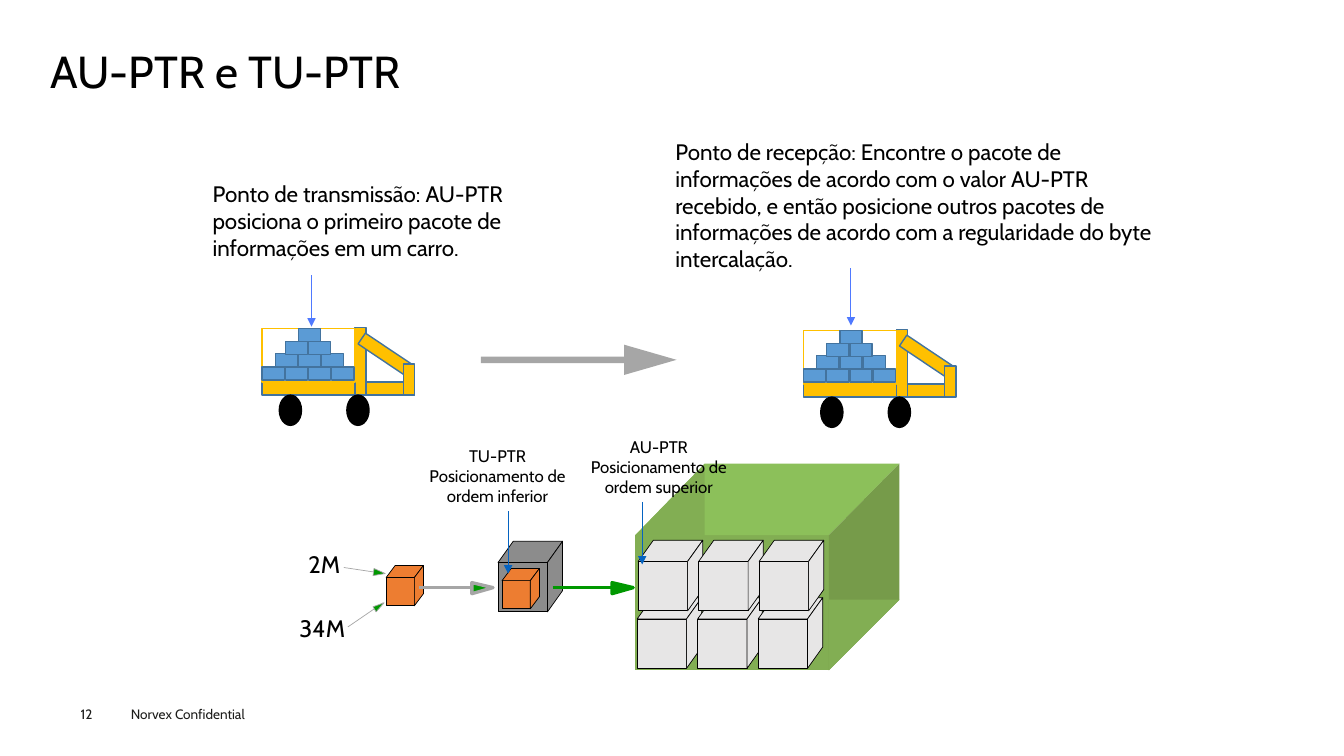
from lxml import etree
from pptx import Presentation
from pptx.dml.color import RGBColor
from pptx.enum.shapes import MSO_CONNECTOR, MSO_SHAPE
from pptx.enum.text import PP_ALIGN
from pptx.oxml.ns import qn
from pptx.util import Pt

PX = 9144
BLACK, GRAY, GREEN, YELLOW = "000000", "A6A6A6", "009800", "FFC000"
BRICK, EDGE, ORANGE, SILVER = "5B9BD5", "43739E", "ED7D31", "E7E6E6"
rgb = RGBColor.from_string

prs = Presentation()
prs.slide_width, prs.slide_height = 1333 * PX, 750 * PX
s = prs.slides.add_slide(prs.slide_layouts[6])


def paint(sp, fill, line=None, width=0.5):
    sp.shadow.inherit = False
    if fill:
        sp.fill.solid()
        sp.fill.fore_color.rgb = rgb(fill)
    else:
        sp.fill.background()
    if line:
        sp.line.color.rgb = rgb(line)
        sp.line.width = Pt(width)
    else:
        sp.line.fill.background()


def add_polygon(points, fill, line=None, width=0.5):
    builder = s.shapes.build_freeform(*points[0], scale=PX)
    builder.add_line_segments(points[1:])
    paint(builder.convert_to_shape(), fill, line, width)


arrow = s.shapes.add_shape(MSO_SHAPE.RIGHT_ARROW, 477 * PX, 342 * PX, 194 * PX, 30 * PX)
arrow.adjustments[0], arrow.adjustments[1] = 0.215, 1.732
paint(arrow, GRAY)

container_faces = [
    ([(630, 531), (822, 531), (822, 665), (630, 665)], "82AE53"),
    ([(630, 531), (699, 460), (892, 460), (822, 531)], "8CC05A"),
    ([(630, 531), (699, 460), (699, 531)], "82AE53"),
    ([(822, 531), (892, 460), (892, 595), (822, 665)], "769B4A"),
    ([(822, 595), (892, 595), (822, 665)], "82AE53"),
]
for points, fill in container_faces:
    add_polygon(points, fill)

cubes = [
    (383, 573, 28, 28, 9, 12, ORANGE),
    (494, 558, 49, 49, 15, 21, "8C8C8C"),
    (498, 576, 28, 28, 9, 12, ORANGE),
]
for col in range(3):
    for x, y in [(632, 614), (633, 557)]:
        cubes.append((x + 60 * col, y, 49, 49, 15, 21, SILVER))
for x, y, w, h, dx, dy, fill in cubes:
    front = s.shapes.add_shape(MSO_SHAPE.RECTANGLE, x * PX, y * PX, w * PX, h * PX)
    paint(front, fill, BLACK)
    right, bottom = x + w, y + h
    add_polygon([(x, y), (x + dx, y - dy), (right + dx, y - dy), (right, y)], fill, BLACK)
    add_polygon([(right, bottom), (right + dx, bottom - dy), (right + dx, y - dy), (right, y)],
                fill, BLACK)

for dx, dy in [(0, 0), (537, 2)]:
    parts = [
        (MSO_SHAPE.RECTANGLE, 260, 379, 151, 13, 0, YELLOW, EDGE),
        (MSO_SHAPE.RECTANGLE, 324, 353, 67, 11, 90, YELLOW, EDGE),
        (MSO_SHAPE.FLOWCHART_CONNECTOR, 277, 392, 22, 30, 0, BLACK, BLACK),
        (MSO_SHAPE.FLOWCHART_CONNECTOR, 344, 392, 22, 30, 0, BLACK, BLACK),
        (MSO_SHAPE.RECTANGLE, 354, 345, 56, 13, 33.8, YELLOW, EDGE),
        (MSO_SHAPE.RECTANGLE, 390, 371, 31, 11, 90, YELLOW, EDGE),
        (MSO_SHAPE.RECTANGLE, 260, 326, 92, 53, 0, None, YELLOW),
    ]
    for x, y, count in [(260, 364, 4), (273, 351, 3), (283, 339, 2), (296, 326, 1)]:
        for i in range(count):
            parts.append((MSO_SHAPE.RECTANGLE, x + 23 * i, y, 22, 13, 0, BRICK, EDGE))
    for kind, x, y, w, h, angle, fill, line in parts:
        sp = s.shapes.add_shape(kind, (x + dx) * PX, (y + dy) * PX, w * PX, h * PX)
        sp.rotation = angle
        paint(sp, fill, line, 1)

lines = [
    (309, 273, 309, 324, "4F79FF", 0.75, True),
    (844, 266, 844, 323, "4F79FF", 0.75, True),
    (341, 563, 381, 569, GRAY, 0.5, False),
    (345, 622, 380, 598, GRAY, 0.5, False),
    (416, 583, 483, 583, GRAY, 2.38, False),
    (548, 583, 611, 583, GREEN, 2.38, False),
    (504, 507, 504, 569, "0563C1", 0.75, True),
    (637, 498, 637, 560, "0563C1", 0.75, True),
]
for x1, y1, x2, y2, color, width, arrowhead in lines:
    cn = s.shapes.add_connector(MSO_CONNECTOR.STRAIGHT, x1 * PX, y1 * PX, x2 * PX, y2 * PX)
    cn.line.color.rgb = rgb(color)
    cn.line.width = Pt(width)
    if arrowhead:
        etree.SubElement(cn.line._get_or_add_ln(), qn("a:tailEnd"), type="triangle")
    etree.SubElement(cn._element.spPr, qn("a:effectLst"))

arrowheads = [
    ([(371, 564), (382, 569), (370, 571)], GRAY, 0.5),
    ([(370, 602), (381, 598), (373, 607)], GRAY, 0.5),
    ([(468, 578), (489, 583), (468, 589)], GRAY, 2.38),
    ([(607, 578), (628, 583), (607, 589)], GREEN, 2.38),
]
for points, line, width in arrowheads:
    add_polygon(points, GREEN, line, width)

texts = [
    (50, 49, 1235, 54, 0, 0, 32, BLACK, PP_ALIGN.LEFT, ["AU-PTR e TU-PTR"]),
    (201, 174, 338, 101, 10, 5, 16, BLACK, PP_ALIGN.LEFT,
     ["Ponto de transmissão: AU-PTR posiciona o primeiro pacote de informações em um carro."]),
    (660, 132, 498, 147, 10, 5, 16, BLACK, PP_ALIGN.LEFT,
     ["Ponto de recepção: Encontre o pacote de informações de acordo com o valor AU-PTR "
      "recebido, e então posicione outros pacotes de informações de acordo com a "
      "regularidade do byte intercalação."]),
    (422, 442, 143, 47, 0, 0, 12, BLACK, PP_ALIGN.CENTER,
     ["TU-PTR", "Posicionamento de ordem inferior"]),
    (582, 433, 143, 47, 0, 0, 12, BLACK, PP_ALIGN.CENTER,
     ["AU-PTR", "Posicionamento de ordem superior"]),
    (306, 545, 50, 29, 0, 0, 17, BLACK, PP_ALIGN.LEFT, ["2M"]),
    (297, 609, 60, 29, 0, 0, 17, BLACK, PP_ALIGN.LEFT, ["34M"]),
    (80, 700, 55, 16, 0, 0, 9.7, "1D1D1B", PP_ALIGN.LEFT, ["12"]),
    (120, 695, 160, 27, 10, 5, 9.7, "1D1D1B", PP_ALIGN.LEFT, ["Norvex Confidential"]),
]
for x, y, w, h, mx, my, size, color, align, paragraphs in texts:
    tf = s.shapes.add_textbox(x * PX, y * PX, w * PX, h * PX).text_frame
    tf.word_wrap = True
    tf.margin_left = tf.margin_right = mx * PX
    tf.margin_top = tf.margin_bottom = my * PX
    tf.text = "\n".join(paragraphs)
    for p in tf.paragraphs:
        p.alignment = align
        p.font.name = "Cabin"
        p.font.size = Pt(size)
        p.font.color.rgb = rgb(color)
        if size == 32:
            p.line_spacing = 0.9

prs.save("out.pptx")
